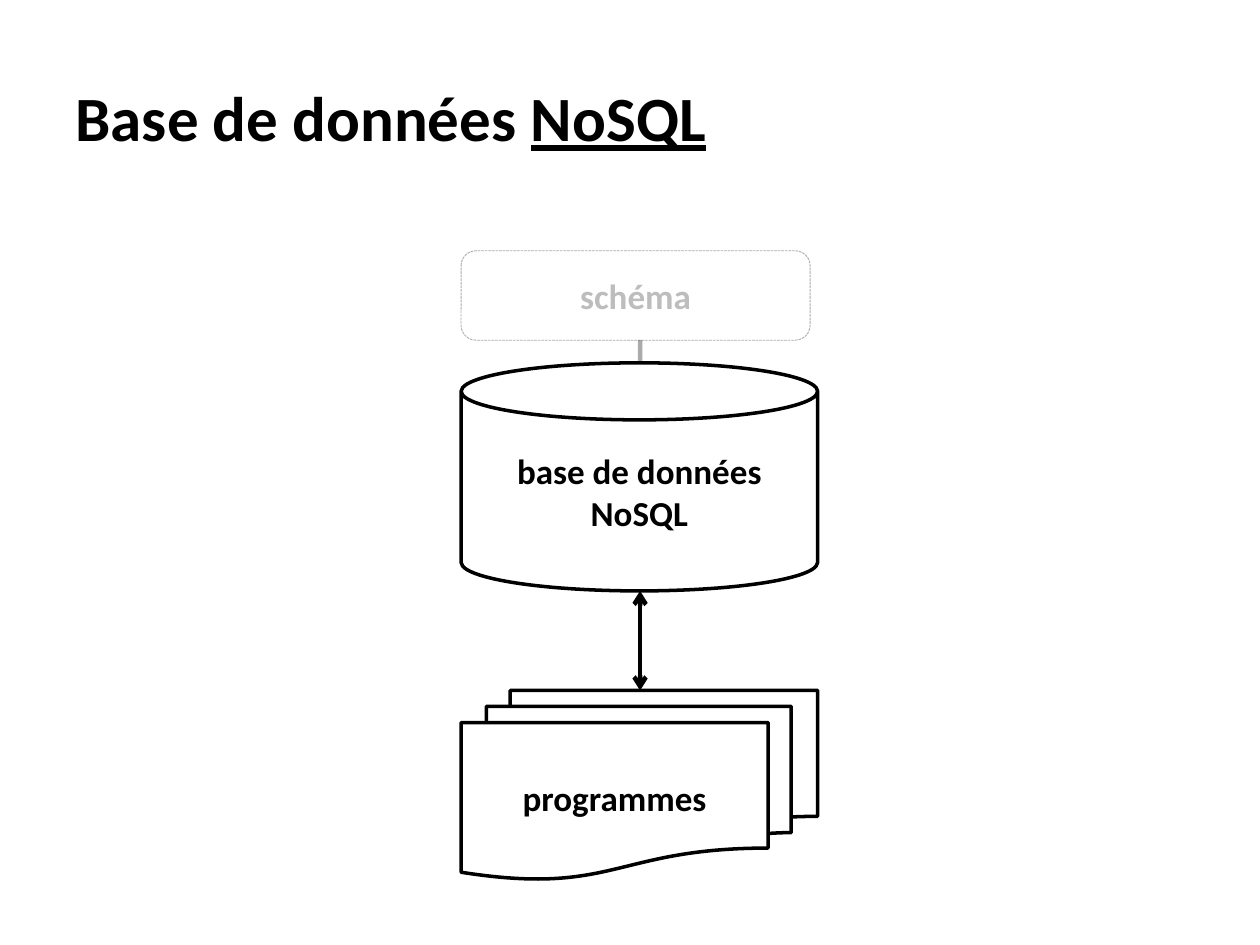
import dataclasses

import pptx
import pptx.dml.color
import pptx.enum.dml
import pptx.enum.shapes
import pptx.enum.text
import pptx.oxml
import pptx.oxml.ns
import pptx.util

Inches = pptx.util.Inches
Pt = pptx.util.Pt
Shapes = pptx.enum.shapes.MSO_SHAPE
Align = pptx.enum.text.PP_ALIGN


@dataclasses.dataclass(frozen=True)
class Theme:
    font: str = "Calibri"
    ink: str = "000000"
    paper: str = "FFFFFF"
    title_size: int = 36
    label_size: int = 20
    outline: float = 2
    faint_outline: float = 0.5
    link: float = 2.5
    faint_text: int = 26
    faint_line: int = 33


THEME = Theme()


def rgb(value):
    return pptx.dml.color.RGBColor.from_string(value)


def add_child(parent, tag, **attributes):
    child = pptx.oxml.parse_xml(f"<{tag} {pptx.oxml.ns.nsdecls('a')}/>")
    for name, value in attributes.items():
        child.set(name, value)
    parent.append(child)


def set_opacity(element, percent):
    if percent < 100:
        color = element.find(".//" + pptx.oxml.ns.qn("a:srgbClr"))
        add_child(color, "a:alpha", val=str(percent * 1000))


def style_line(line, width, opacity):
    line.color.rgb = rgb(THEME.ink)
    line.width = Pt(width)
    set_opacity(line._get_or_add_ln(), opacity)


def write_text(paragraph, text, size=THEME.label_size, align=Align.CENTER,
               underline=None, opacity=100):
    paragraph.alignment = align
    run = paragraph.add_run()
    run.text = text
    run.font.name = THEME.font
    run.font.size = Pt(size)
    run.font.bold = True
    run.font.underline = underline
    run.font.color.rgb = rgb(THEME.ink)
    set_opacity(run._r, opacity)


def add_title(slide, plain, underlined):
    title = slide.shapes.title
    title.left, title.top = Inches(0.5), Inches(0.3)
    title.width, title.height = Inches(9), Inches(1.25)
    title.text_frame.vertical_anchor = pptx.enum.text.MSO_ANCHOR.MIDDLE
    paragraph = title.text_frame.paragraphs[0]
    style = {"size": THEME.title_size, "align": Align.LEFT}
    write_text(paragraph, plain, **style)
    write_text(paragraph, underlined, underline=True, **style)


def add_node(slide, kind, text, top, width, height, faint=False):
    shape = slide.shapes.add_shape(
        kind, Inches(3.66), Inches(top), Inches(width), Inches(height))
    shape.shadow.inherit = False
    if faint:
        shape.fill.background()
        style_line(shape.line, THEME.faint_outline, THEME.faint_line)
        shape.line.dash_style = pptx.enum.dml.MSO_LINE.SQUARE_DOT
    else:
        shape.fill.solid()
        shape.fill.fore_color.rgb = rgb(THEME.paper)
        style_line(shape.line, THEME.outline, 100)
    frame = shape.text_frame
    frame.word_wrap = True
    frame.vertical_anchor = pptx.enum.text.MSO_ANCHOR.MIDDLE
    write_text(frame.paragraphs[0], text,
               opacity=THEME.faint_text if faint else 100)


def add_link(slide, top, bottom, opacity=100, arrows=False):
    center = Inches(5.08)
    connector = slide.shapes.add_connector(
        pptx.enum.shapes.MSO_CONNECTOR.STRAIGHT,
        center, Inches(top), center, Inches(bottom))
    style_line(connector.line, THEME.link, opacity)
    if arrows:
        for end in ("a:headEnd", "a:tailEnd"):
            add_child(connector.line._get_or_add_ln(), end, type="arrow")
    add_child(connector._element.spPr, "a:effectLst")


def main():
    presentation = pptx.Presentation()
    presentation.slide_width = Inches(10)
    presentation.slide_height = Inches(7.5)
    slide = presentation.slides.add_slide(presentation.slide_layouts[5])
    add_title(slide, "Base de données ", "NoSQL")
    add_node(slide, Shapes.CAN, "base de données NoSQL", 2.88, 2.83, 1.81)
    add_node(slide, Shapes.ROUNDED_RECTANGLE, "schéma", 1.99, 2.77, 0.71,
             faint=True)
    add_node(slide, Shapes.FLOWCHART_MULTIDOCUMENT, "programmes",
             5.48, 2.83, 1.5)
    add_link(slide, 2.7, 2.88, opacity=32)
    add_link(slide, 4.69, 5.48, arrows=True)
    presentation.save("out.pptx")


if __name__ == "__main__":
    main()
